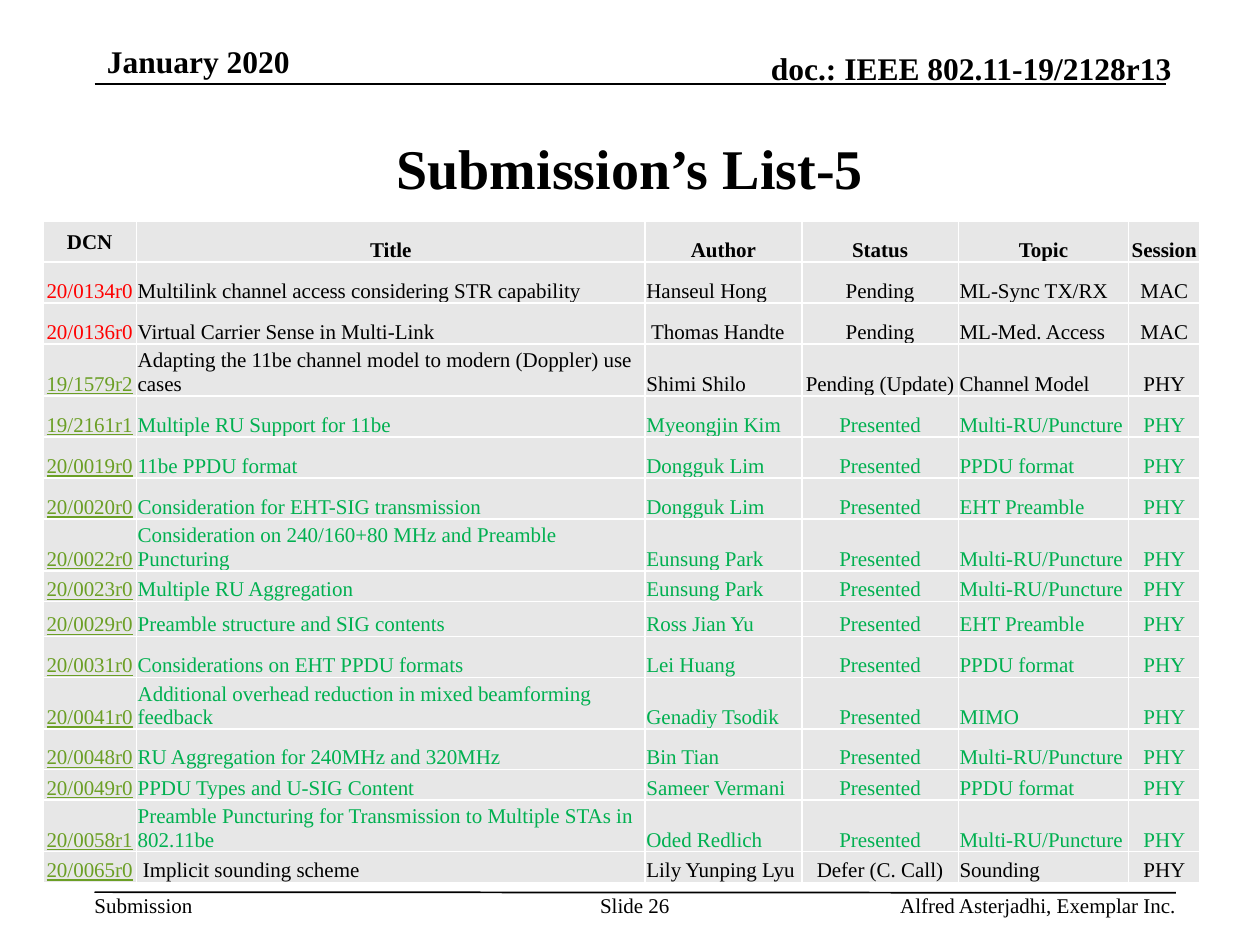
from lxml import etree
from pptx import Presentation
from pptx.dml.color import RGBColor
from pptx.enum import shapes, text
from pptx.oxml.ns import qn
from pptx.util import Pt

FONT = "Times New Roman"
BLACK, RED, GREEN, LINK = "000000", "FF0000", "00B050", "6B9F25"
CELL_FILL, BORDER = "E7E7E7", "FFFFFF"
LEFT, CENTER, RIGHT = text.PP_ALIGN.LEFT, text.PP_ALIGN.CENTER, text.PP_ALIGN.RIGHT
TOP, MIDDLE, BOTTOM = text.MSO_ANCHOR.TOP, text.MSO_ANCHOR.MIDDLE, text.MSO_ANCHOR.BOTTOM

TITLE = "Submission’s List-5"

# text, (left, top, width, height), size, bold, alignment, anchor, (side, top inset)
LABELS = [
    ("January 2020", (54, 20.5, 181.5, 21.5), 18, True, LEFT, TOP, (7.2, 3.6)),
    ("doc.: IEEE 802.11-19/2128r13", (394, 28, 275.5, 21.5), 18, True, RIGHT, BOTTOM, (0, 0)),
    ("Submission", (54, 510, 56, 14.5), 12, False, LEFT, TOP, (0, 0)),
    ("Slide 26", (342, 510, 41.5, 14.5), 12, False, CENTER, TOP, (0, 0)),
    ("Alfred Asterjadhi, Exemplar Inc.", (422, 510, 250, 14.5), 12, False, RIGHT, TOP, (0, 0)),
]
RULES = [(54, 48, 666, 48), (54, 509.8, 672, 510.2)]  # x1, y1, x2, y2

TABLE_LEFT, TABLE_TOP = 24.5, 126.2
COLUMNS = [  # heading, width, alignment
    ("DCN", 53.5, CENTER), ("Title", 290.7, LEFT), ("Author", 89.5, LEFT),
    ("Status", 89.5, CENTER), ("Topic", 97.2, LEFT), ("Session", 41, CENTER),
]
HEADER_HEIGHT = 23.5
ROWS = [  # height, then the cells
    (23.5, "20/0134r0", "Multilink channel access considering STR capability",
     "Hanseul Hong", "Pending", "ML-Sync TX/RX", "MAC"),
    (23.5, "20/0136r0", "Virtual Carrier Sense in Multi-Link",
     " Thomas Handte", "Pending", "ML-Med. Access", "MAC"),
    (23.5, "19/1579r2", "Adapting the 11be channel model to modern (Doppler) use cases",
     "Shimi Shilo", "Pending (Update)", "Channel Model", "PHY"),
    (23.5, "19/2161r1", "Multiple RU Support for 11be",
     "Myeongjin Kim", "Presented", "Multi-RU/Puncture", "PHY"),
    (23.5, "20/0019r0", "11be PPDU format",
     "Dongguk Lim", "Presented", "PPDU format", "PHY"),
    (23.5, "20/0020r0", "Consideration for EHT-SIG transmission",
     "Dongguk Lim", "Presented", "EHT Preamble", "PHY"),
    (23.5, "20/0022r0", "Consideration on 240/160+80 MHz and Preamble Puncturing",
     "Eunsung Park", "Presented", "Multi-RU/Puncture", "PHY"),
    (17.5, "20/0023r0", "Multiple RU Aggregation",
     "Eunsung Park", "Presented", "Multi-RU/Puncture", "PHY"),
    (20, "20/0029r0", "Preamble structure and SIG contents",
     "Ross Jian Yu", "Presented", "EHT Preamble", "PHY"),
    (23.5, "20/0031r0", "Considerations on EHT PPDU formats",
     "Lei Huang", "Presented", "PPDU format", "PHY"),
    (17.5, "20/0041r0", "Additional overhead reduction in mixed beamforming feedback",
     "Genadiy Tsodik", "Presented", "MIMO", "PHY"),
    (23, "20/0048r0", "RU Aggregation for 240MHz and 320MHz",
     "Bin Tian", "Presented", "Multi-RU/Puncture", "PHY"),
    (17.5, "20/0049r0", "PPDU Types and U-SIG Content",
     "Sameer Vermani", "Presented", "PPDU format", "PHY"),
    (17.5, "20/0058r1", "Preamble Puncturing for Transmission to Multiple STAs in 802.11be",
     "Oded Redlich", "Presented", "Multi-RU/Puncture", "PHY"),
    (17.5, "20/0065r0", " Implicit sounding scheme",
     "Lily Yunping Lyu", "Defer (C. Call)", "Sounding", "PHY"),
]


def paint(target, color):
    """Give a fill a solid colour."""
    target.solid()
    target.fore_color.rgb = RGBColor.from_string(color)


def write(frame, words, size, bold=False, align=LEFT, color=BLACK, underline=None):
    frame.text = words
    para = frame.paragraphs[0]
    para.alignment = align
    font = para.font
    font.name, font.size, font.bold, font.underline = FONT, Pt(size), bold, underline
    paint(font.fill, color)


def add_label(page, words, place, size, bold, align, anchor, insets):
    frame = page.shapes.add_textbox(*map(Pt, place)).text_frame
    frame.word_wrap = True
    frame.vertical_anchor = anchor
    side, top = map(Pt, insets)
    frame.margin_left = frame.margin_right = side
    frame.margin_top = frame.margin_bottom = top
    write(frame, words, size, bold, align)


def add_rule(page, ends):
    rule = page.shapes.add_connector(shapes.MSO_CONNECTOR.STRAIGHT, *map(Pt, ends))
    rule.line.width = Pt(1)
    paint(rule.line.fill, BLACK)
    etree.SubElement(rule._element.spPr, qn("a:effectLst"))


def style_cell(cell, anchor):
    """Set margins, white borders and fill; the borders must precede the fill."""
    cell.vertical_anchor = anchor
    cell.margin_left = cell.margin_right = cell.margin_top = Pt(0.7)
    cell.margin_bottom = 0
    props = cell._tc.get_or_add_tcPr()
    for side in ("lnL", "lnR", "lnT", "lnB"):
        edge = etree.SubElement(props, qn(f"a:{side}"), w=str(Pt(1)))
        solid = etree.SubElement(edge, qn("a:solidFill"))
        etree.SubElement(solid, qn("a:srgbClr"), val=BORDER)
    paint(cell.fill, CELL_FILL)


def add_submissions(page):
    heights = [HEADER_HEIGHT] + [row[0] for row in ROWS]
    widths = [width for _, width, _ in COLUMNS]
    place = (TABLE_LEFT, TABLE_TOP, sum(widths), sum(heights))
    table = page.shapes.add_table(len(heights), len(widths), *map(Pt, place)).table
    for row, height in zip(table.rows, heights):
        row.height = Pt(height)
    for c, (heading, width, align) in enumerate(COLUMNS):
        table.columns[c].width = Pt(width)
        head = table.cell(0, c)
        style_cell(head, MIDDLE if c == 0 else BOTTOM)
        write(head.text_frame, heading, 12, True, CENTER)
        for r, (_, *values) in enumerate(ROWS, 1):
            cell = table.cell(r, c)
            style_cell(cell, BOTTOM)
            status = values[3]
            color = GREEN if status == "Presented" else BLACK
            linked = c == 0 and status != "Pending"
            if c == 0:
                color = LINK if linked else RED
            write(cell.text_frame, values[c], 12, False, align, color, linked or None)


def main():
    deck = Presentation()
    deck.slide_width, deck.slide_height = Pt(720), Pt(540)
    page = deck.slides.add_slide(deck.slide_layouts[5])

    title = page.shapes.title
    title.left, title.top, title.width, title.height = map(Pt, (54, 54, 612, 83.5))
    title.text_frame.vertical_anchor = MIDDLE
    write(title.text_frame, TITLE, 32, True, CENTER)

    for ends in RULES:
        add_rule(page, ends)
    for label in LABELS:
        add_label(page, *label)
    add_submissions(page)
    deck.save("out.pptx")


if __name__ == "__main__":
    main()
